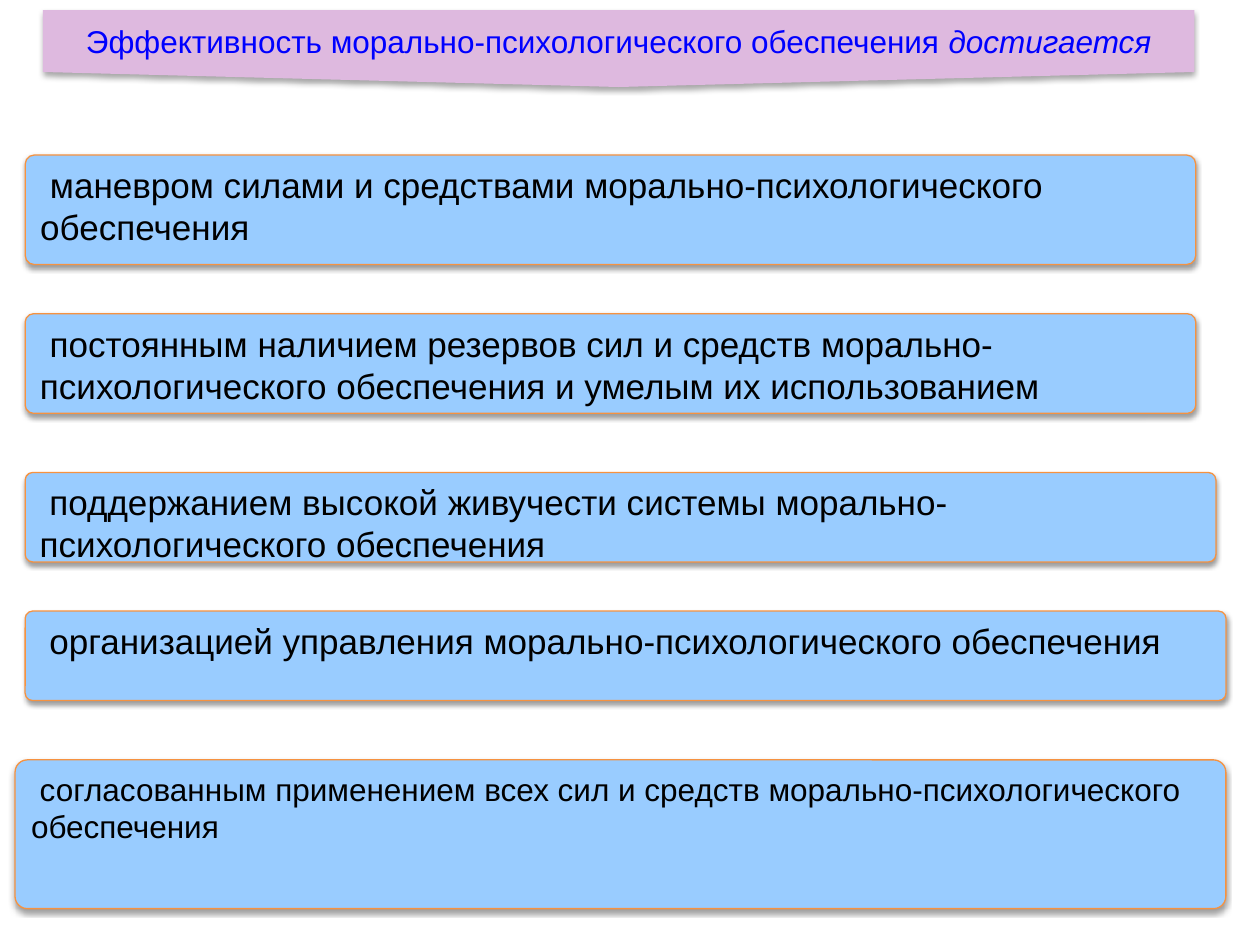
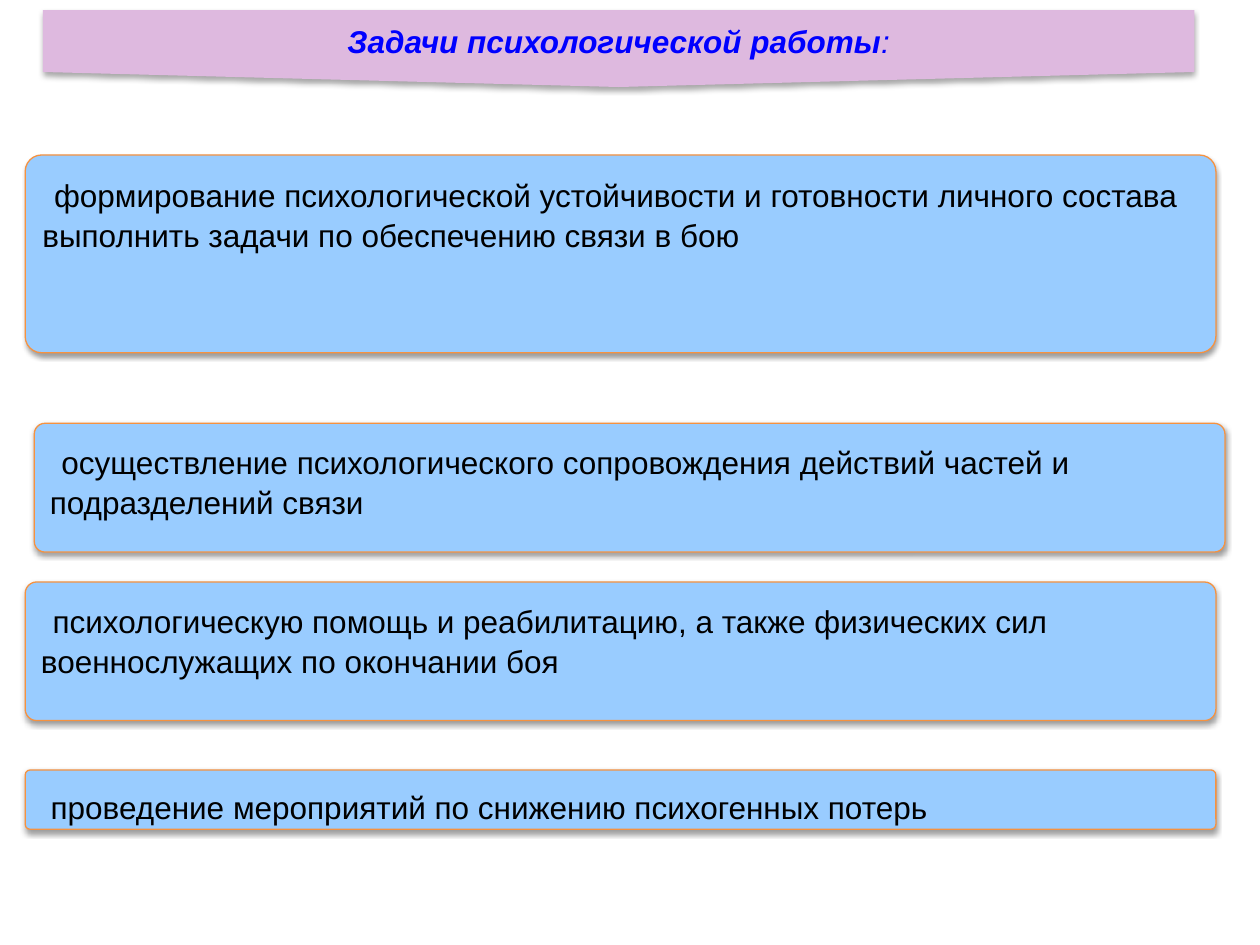
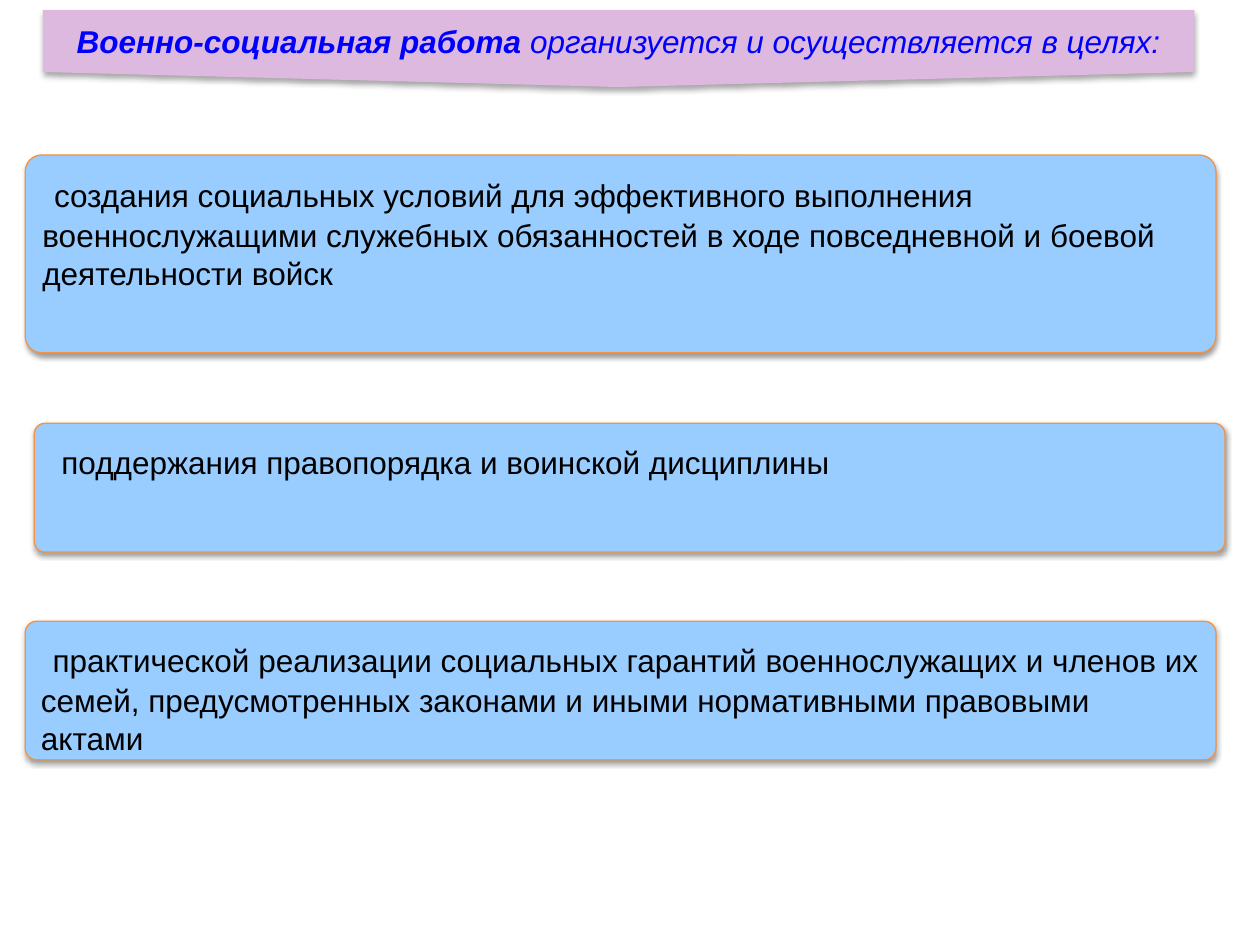
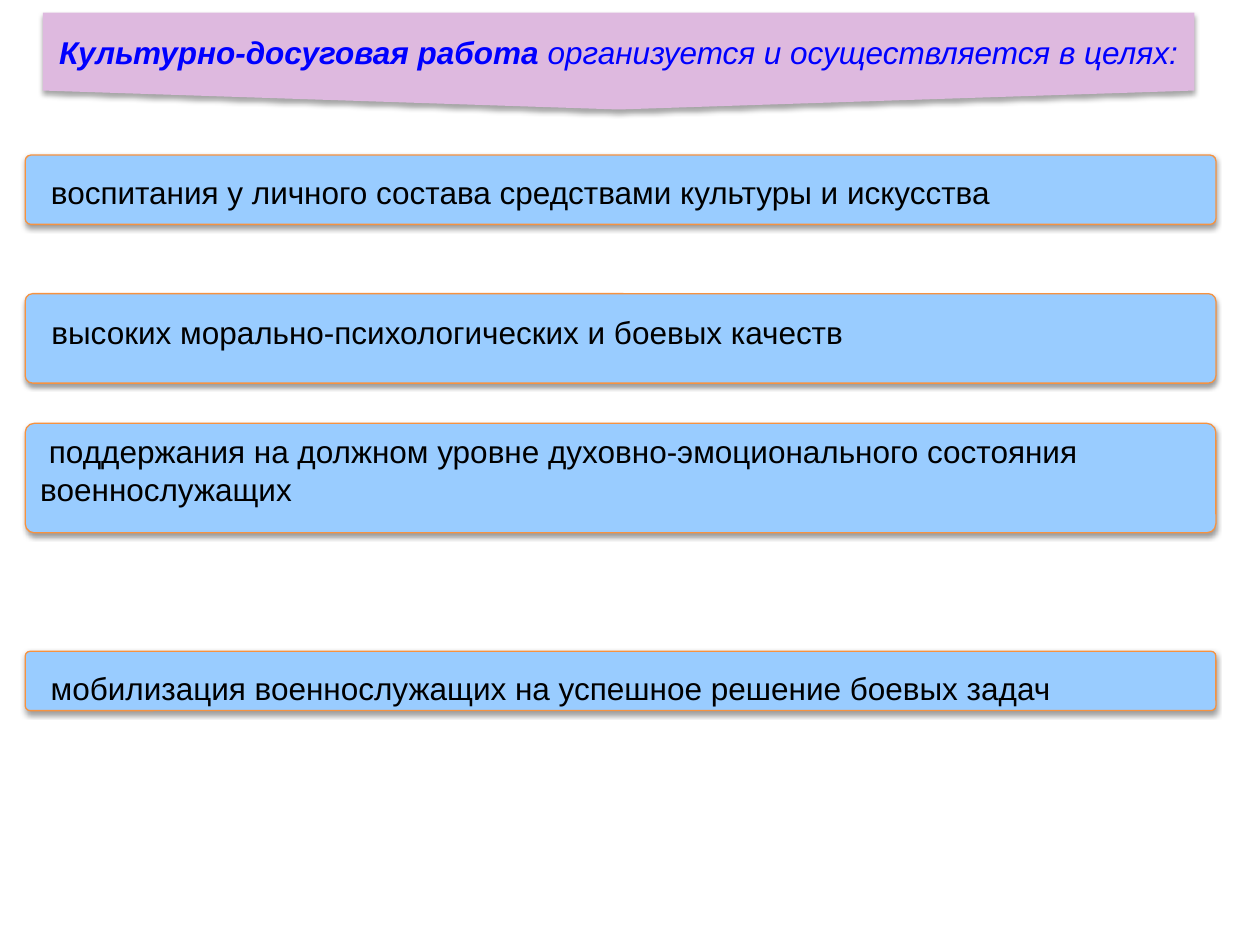
from dataclasses import dataclass

from lxml import etree
from pptx import Presentation
from pptx.dml.color import RGBColor
from pptx.enum.shapes import MSO_SHAPE as Shape
from pptx.enum.text import MSO_ANCHOR as Anchor, PP_ALIGN as Align
from pptx.oxml.ns import qn
from pptx.util import Pt

WHITE = RGBColor(0xFF, 0xFF, 0xFF)
BLACK = RGBColor(0x00, 0x00, 0x00)
LILAC = RGBColor(0xDE, 0xB9, 0xDF)
SKY = RGBColor(0x99, 0xCC, 0xFF)
ORANGE = RGBColor(0xF6, 0x92, 0x40)
BLUE = RGBColor(0x00, 0x00, 0xFF)

FONT = "Arial"
BLANK_LAYOUT = 6
LEFT, WIDTH, FIRST_TOP = 14.4, 680.4, 88.6


@dataclass
class Span:
    text: str
    size: float = 18
    bold: bool = False
    italic: bool = False


@dataclass
class Card:
    top: float
    height: float
    spans: list
    left: float = LEFT
    width: float = WIDTH


def led(text):
    """Text after a taller leading space, which lowers the first line."""
    return [Span(" ", 24), Span(text)]


def large(text):
    return [Span(" " + text, 20)]


def goal_title(subject):
    return [Span(subject, bold=True, italic=True),
            Span(" организуется и осуществляется в целях:", italic=True)]


class SlideBuilder:
    def __init__(self):
        self.deck = Presentation()
        self.deck.slide_width, self.deck.slide_height = Pt(720), Pt(540)
        self.page = None

    def new_page(self):
        self.page = self.deck.slides.add_slide(self.deck.slide_layouts[BLANK_LAYOUT])
        self.page.background.fill.solid()
        self.page.background.fill.fore_color.rgb = WHITE

    def shape(self, kind, bounds, fill, adjustments):
        box = self.page.shapes.add_shape(kind, *(Pt(length) for length in bounds))
        for index, value in enumerate(adjustments):
            box.adjustments[index] = value
        box.fill.solid()
        box.fill.fore_color.rgb = fill
        return box

    def shadow(self, box, distance, opacity):
        """Soft black shadow straight below the box; opacity in percent."""
        box.shadow.inherit = False
        effects = box._element.spPr.find(qn("a:effectLst"))
        outer = etree.SubElement(
            effects, qn("a:outerShdw"), blurRad=str(Pt(3.1)), dist=str(Pt(distance)),
            dir="5400000", rotWithShape="0")
        color = etree.SubElement(outer, qn("a:srgbClr"), val=str(BLACK))
        etree.SubElement(color, qn("a:alpha"), val=str(opacity * 1000))

    def add_text(self, box, spans, color, align, anchor):
        frame = box.text_frame
        frame.word_wrap = True
        frame.vertical_anchor = anchor
        para = frame.paragraphs[0]
        para.alignment = align
        for span in spans:
            run = para.add_run()
            run.text = span.text
            font = run.font
            font.name, font.size = FONT, Pt(span.size)
            font.bold, font.italic = span.bold, span.italic
            font.color.rgb = color

    def title(self, spans, top=5.8, height=43.9):
        banner = self.shape(Shape.DOWN_ARROW, (24.5, top, 658.1, height), LILAC, (1, 0.195))
        banner.line.fill.background()
        self.shadow(banner, 1.8, 35)
        self.add_text(banner, spans, BLUE, Align.CENTER, Anchor.MIDDLE)

    def card(self, card):
        bounds = card.left, card.top, card.width, card.height
        box = self.shape(Shape.ROUNDED_RECTANGLE, bounds, SKY, (0.083,))
        box.line.color.rgb = ORANGE
        box.line.width = Pt(0.75)
        self.shadow(box, 1.6, 38)
        self.add_text(box, card.spans, BLACK, Align.LEFT, Anchor.TOP)

    def title_and_cards(self, title, cards, **banner_place):
        self.new_page()
        self.title(title, **banner_place)
        for card in cards:
            self.card(card)


def main():
    builder = SlideBuilder()

    builder.title_and_cards(
        [Span("Эффективность морально-психологического обеспечения "),
         Span("достигается", italic=True)],
        [Card(FIRST_TOP, 62.6, large(
            "маневром силами и средствами морально-психологического обеспечения"),
            width=668.9),
         Card(179.3, 56.9, large(
             "постоянным наличием резервов сил и средств морально-психологического "
             "обеспечения и умелым их использованием"), width=668.9),
         Card(270, 51.1, large(
             "поддержанием высокой живучести системы морально-психологического "
             "обеспечения")),
         Card(349.2, 51.1, large(
             "организацией управления морально-психологического обеспечения"),
             width=686.2),
         Card(434.2, 85, [Span(
             " согласованным применением всех сил и средств "
             "морально-психологического обеспечения")], left=8.6, width=691.9)])

    builder.title_and_cards(
        [Span("Задачи психологической работы", bold=True, italic=True),
         Span(":", italic=True)],
        [Card(FIRST_TOP, 113, led(
            "формирование психологической устойчивости и готовности личного "
            "состава выполнить задачи по обеспечению связи в бою")),
         Card(241.9, 73.6, led(
             "осуществление психологического сопровождения действий частей и "
             "подразделений связи"), left=19.6),
         Card(332.6, 79.2, led(
             "психологическую помощь и реабилитацию, а также физических сил "
             "военнослужащих по окончании боя")),
         Card(440, 33.9, led("проведение мероприятий по снижению психогенных потерь"))])

    builder.title_and_cards(
        goal_title("Военно-социальная работа"),
        [Card(FIRST_TOP, 113, led(
            "создания социальных условий для эффективного выполнения "
            "военнослужащими служебных обязанностей в ходе повседневной и боевой "
            "деятельности войск")),
         Card(241.9, 73.6, led("поддержания правопорядка и воинской дисциплины"),
              left=19.6),
         Card(355, 79.2, led(
             "практической реализации социальных гарантий военнослужащих и членов "
             "их семей, предусмотренных законами и иными нормативными правовыми "
             "актами"))])

    builder.title_and_cards(
        goal_title("Культурно-досуговая работа"),
        [Card(FIRST_TOP, 39.6, led(
            "воспитания у личного состава средствами культуры и искусства")),
         Card(167.8, 51.1, led("высоких морально-психологических и боевых качеств")),
         Card(241.9, 62.6, [Span(
             " поддержания на должном уровне духовно-эмоционального состояния "
             "военнослужащих")]),
         Card(372.2, 33.9, led(
             "мобилизация военнослужащих на успешное решение боевых задач"))],
        top=7.2, height=55.4)

    builder.deck.save("out.pptx")


if __name__ == "__main__":
    main()
